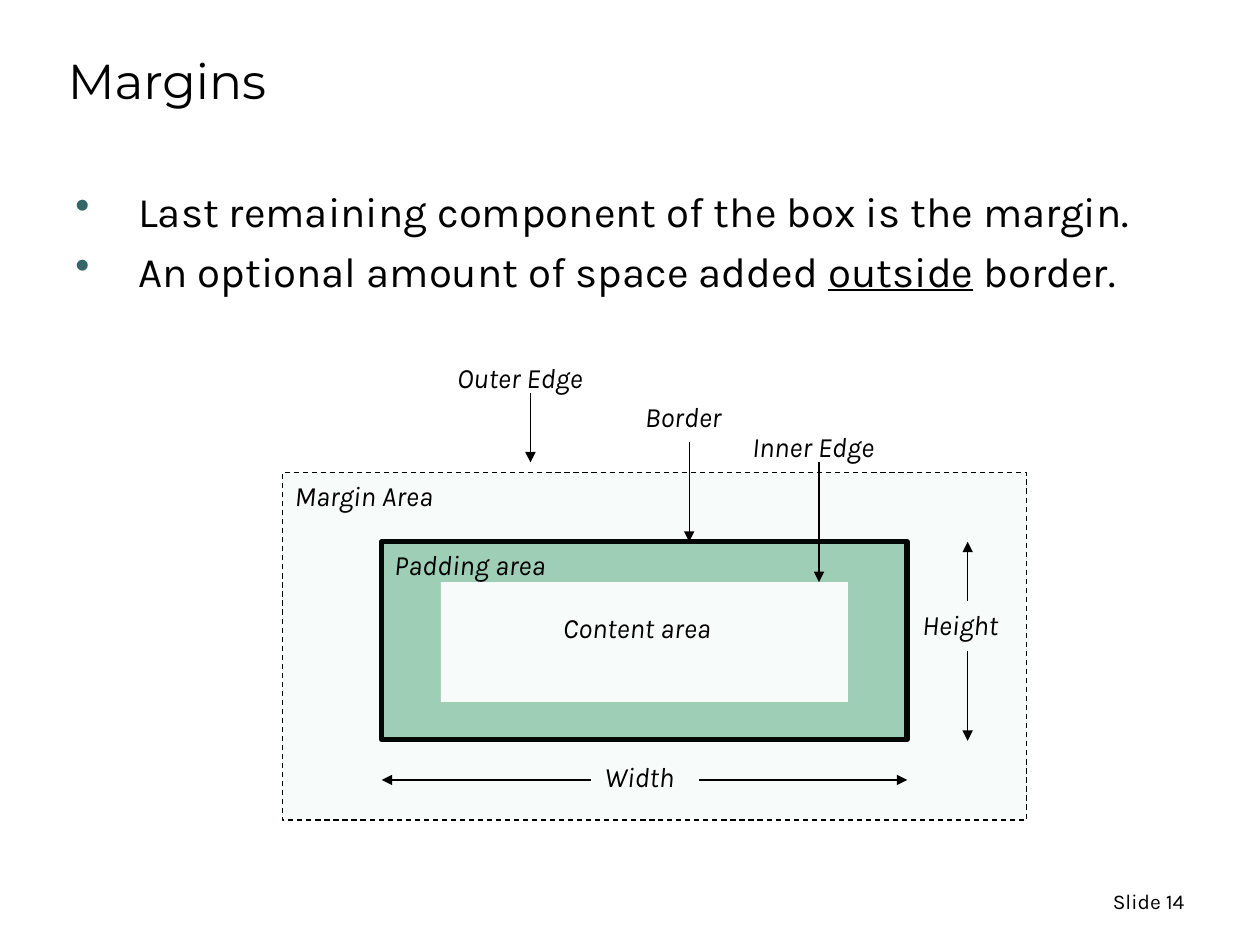
import pptx
import pptx.dml.color
import pptx.enum.dml
import pptx.enum.shapes
import pptx.enum.text
import pptx.oxml.ns
import pptx.util
from lxml import etree

Inches, Pt = pptx.util.Inches, pptx.util.Pt
RGB = pptx.dml.color.RGBColor.from_string
MSO_ANCHOR = pptx.enum.text.MSO_ANCHOR
PP_ALIGN = pptx.enum.text.PP_ALIGN
qn = pptx.oxml.ns.qn

COLORS = {"ink": "000000", "paper": "FFFFFF", "green": "339966", "bullet": "336666"}

prs = pptx.Presentation()
prs.slide_width, prs.slide_height = Inches(10), Inches(7.5)
s = prs.slides.add_slide(prs.slide_layouts[6])


def add_box(x, y, w, h, anchor=MSO_ANCHOR.TOP, wrap=True):
    """Add an empty text box and return its text frame."""
    tf = s.shapes.add_textbox(Inches(x), Inches(y), Inches(w), Inches(h)).text_frame
    tf.word_wrap = wrap
    tf.vertical_anchor = anchor
    return tf


def add_run(p, text, size, font="Karla", italic=None, underline=None):
    r = p.add_run()
    r.text = text
    r.font.name, r.font.size = font, Pt(size)
    r.font.italic, r.font.underline = italic, underline
    r.font.color.rgb = RGB(COLORS["ink"])


# Title and bullets
tf = add_box(0.44, 0.25, 8.5, 0.67, MSO_ANCHOR.BOTTOM)
add_run(tf.paragraphs[0], "Margins", 28, "Montserrat")

bullets = [
    [("Last remaining component of the box is the margin.", None)],
    [("An optional amount of space added ", None), ("outside", True), (" border.", None)],
]
tf = add_box(0.5, 1.42, 8.94, 5.25)
for i, runs in enumerate(bullets):
    p = tf.add_paragraph() if i else tf.paragraphs[0]
    p.space_before = Pt(5.6)
    pPr = p._p.get_or_add_pPr()
    pPr.set("marL", str(Inches(0.5)))
    pPr.set("indent", str(-Inches(0.5)))
    color = etree.SubElement(pPr, qn("a:buClr"))
    etree.SubElement(color, qn("a:srgbClr"), val=COLORS["bullet"])
    etree.SubElement(pPr, qn("a:buChar"), char="•")
    for text, underline in runs:
        add_run(p, text, 24, underline=underline)

# Box model: x, y, w, h, fill, opacity in percent, line width, dashed
areas = [
    (3.03, 4.3, 4.17, 1.57, "green", 45, 3, False),  # padding and border
    (3.5, 4.62, 3.23, 0.95, "paper", 100, 0, False),  # content
    (2.24, 3.75, 5.91, 2.76, "green", 4, 0.75, True),  # margin
]
for x, y, w, h, fill, opacity, width, dashed in areas:
    sp = s.shapes.add_shape(pptx.enum.shapes.MSO_SHAPE.RECTANGLE,
                            Inches(x), Inches(y), Inches(w), Inches(h))
    sp.shadow.inherit = False
    sp.fill.solid()
    sp.fill.fore_color.rgb = RGB(COLORS[fill])
    if opacity < 100:
        color = sp._element.spPr.find(qn("a:solidFill")).find(qn("a:srgbClr"))
        etree.SubElement(color, qn("a:alpha"), val=str(opacity * 1000))
    if width:
        sp.line.color.rgb = RGB(COLORS["ink"])
        sp.line.width = Pt(width)
    else:
        sp.line.fill.background()
    if dashed:
        sp.line.dash_style = pptx.enum.dml.MSO_LINE.DASH

# Labels: text, x, y, w
labels = [
    ("Content area", 4.37, 4.8, 1.47),
    ("Padding area", 3.03, 4.3, 1.48),
    ("Margin Area", 2.24, 3.75, 1.38),
    ("Width", 4.7, 5.98, 0.77),
    ("Height", 7.22, 4.77, 0.84),
    ("Border", 5.02, 3.12, 0.85),
    ("Inner Edge", 5.87, 3.36, 1.28),
    ("Outer Edge", 3.53, 2.81, 1.31),
]
for text, x, y, w in labels:
    tf = add_box(x, y, w, 0.37, wrap=False)
    tf.auto_size = pptx.enum.text.MSO_AUTO_SIZE.SHAPE_TO_FIT_TEXT
    add_run(tf.paragraphs[0], text, 16, italic=True)

# Arrows: x1, y1, x2, y2, with the head at the second point
arrows = [
    (5.55, 6.19, 7.2, 6.19),  # width
    (4.69, 6.19, 3.03, 6.19),
    (7.68, 4.77, 7.68, 4.3),  # height
    (7.68, 5.17, 7.68, 5.88),
    (5.47, 3.51, 5.47, 4.3),  # border
    (6.5, 3.67, 6.5, 4.62),  # inner edge
    (4.21, 3.12, 4.21, 3.67),  # outer edge
]
for points in arrows:
    line = s.shapes.add_connector(pptx.enum.shapes.MSO_CONNECTOR.STRAIGHT,
                                  *[Inches(v) for v in points])
    line.line.color.rgb = RGB(COLORS["ink"])
    line.line.width = Pt(0.75)
    etree.SubElement(line.line._get_or_add_ln(), qn("a:tailEnd"), type="triangle")
    etree.SubElement(line._element.spPr, qn("a:effectLst"))

# Slide number
tf = add_box(7.17, 6.95, 2.33, 0.4, MSO_ANCHOR.MIDDLE)
tf.paragraphs[0].alignment = PP_ALIGN.RIGHT
add_run(tf.paragraphs[0], "Slide 14", 12)

prs.save("out.pptx")
